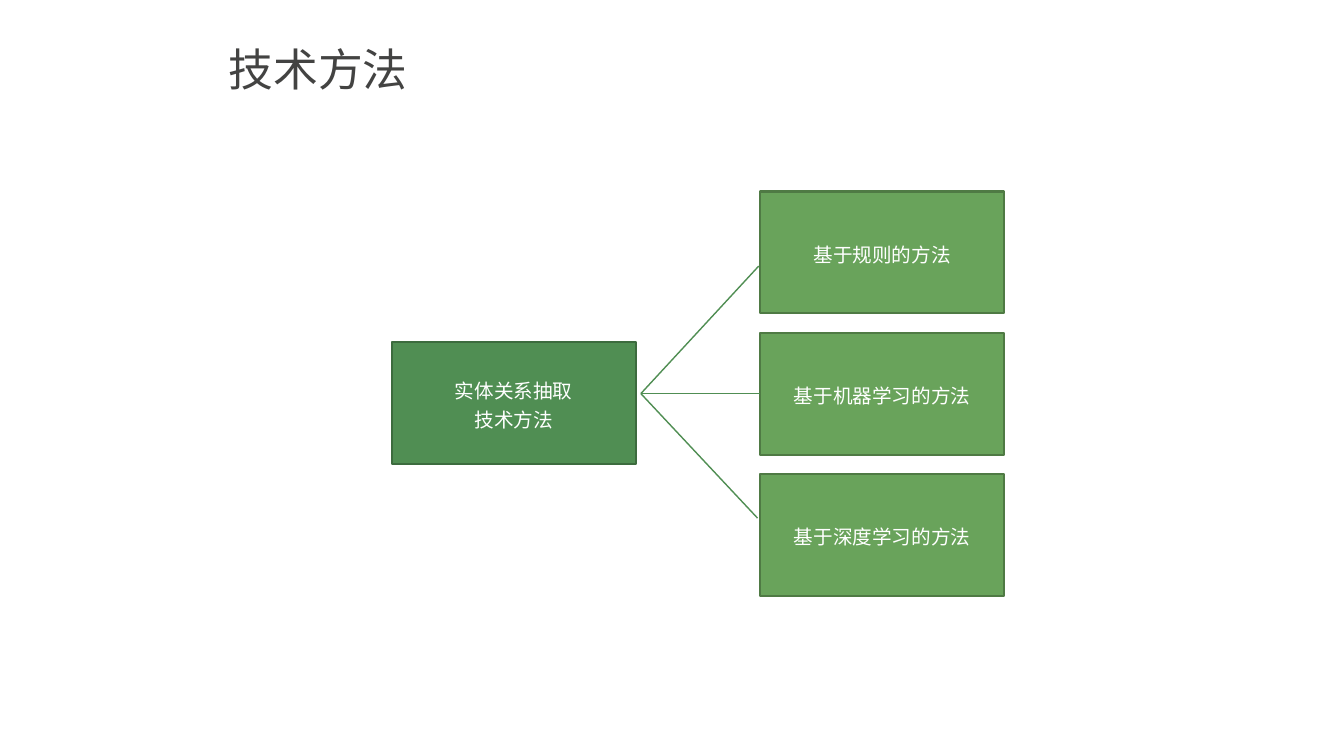
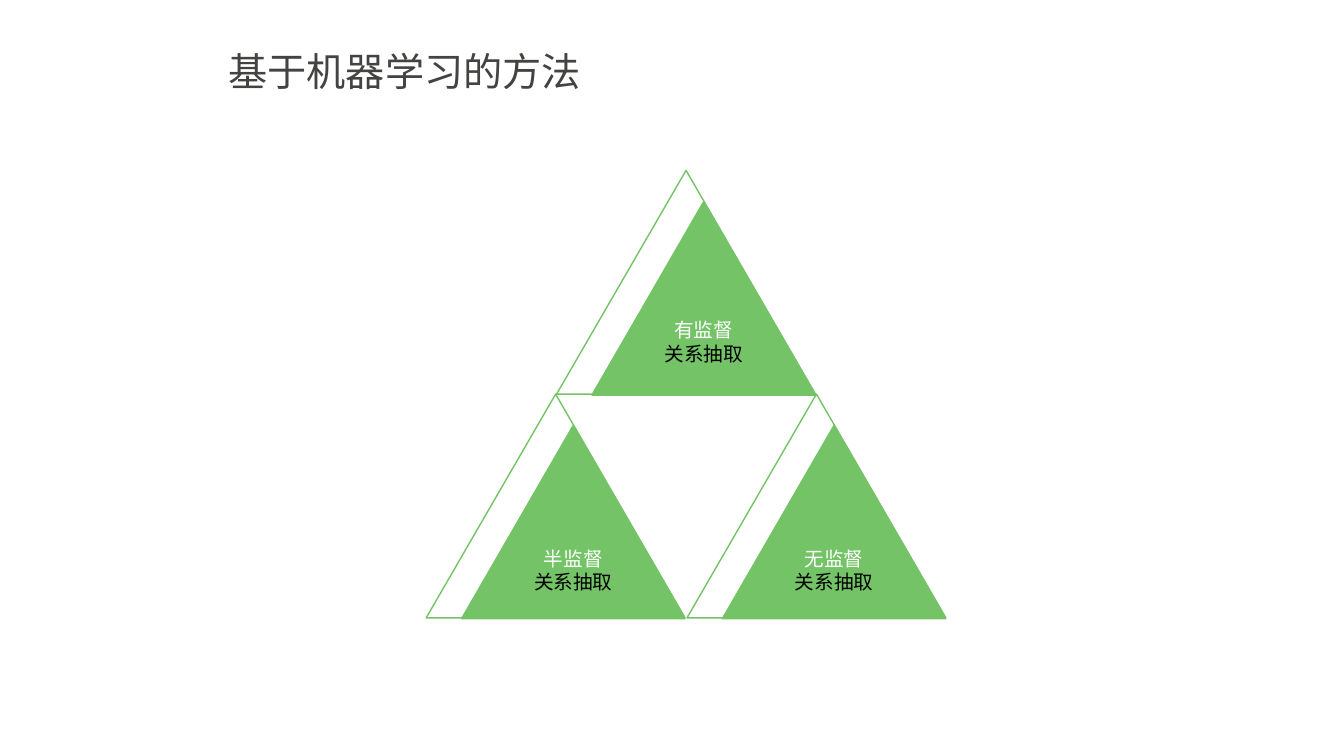
"""Build two slides on relation extraction methods."""
from dataclasses import dataclass
from typing import Optional

from lxml import etree
from pptx import Presentation
from pptx.dml.color import RGBColor
from pptx.enum import lang, shapes, text
from pptx.oxml import ns
from pptx.util import Pt

COLORS = {
    "title": "434342", "root": "508E53", "root_edge": "3C6B3E",
    "method": "69A35B", "method_edge": "4F7A44", "triangle": "74C367",
    "white": "FFFFFF", "black": "000000",
}
CJK_FONT = "Noto Sans CJK SC"
BOX_WIDTH, BOX_HEIGHT = 174.2, 87.1
FRAME_WIDTH, FRAME_HEIGHT = 185, 159.8
SOLID_WIDTH, SOLID_HEIGHT = 159.8, 138.2
SOLID_DX, SOLID_DY = 25.2, 22.3


@dataclass(frozen=True)
class Panel:
    kind: shapes.MSO_SHAPE
    left: float
    top: float
    width: float
    height: float
    edge: str
    edge_width: float
    fill: Optional[str] = None


@dataclass(frozen=True)
class Approach:
    label: str
    left: float
    top: float
    lift: float = 0


def rgb(name: str) -> RGBColor:
    return RGBColor.from_string(COLORS[name])


def style_paragraph(paragraph, size: float, font_name: str, color: str) -> None:
    for run in paragraph.runs:
        run.font.size = Pt(size)
        run.font.name = font_name
        run.font.color.rgb = rgb(color)
        run.font.language_id = lang.MSO_LANGUAGE_ID.SIMPLIFIED_CHINESE
        east_asian = etree.SubElement(run._r.get_or_add_rPr(), ns.qn("a:ea"))
        east_asian.set("typeface", CJK_FONT)


def add_titled_slide(prs, title: str, size: float, height: float):
    slide = prs.slides.add_slide(prs.slide_layouts[5])
    heading = slide.shapes.title
    heading.left, heading.top = Pt(156.2), Pt(21.6)
    heading.width, heading.height = Pt(648), Pt(height)
    frame = heading.text_frame
    frame.text = title
    frame.auto_size = text.MSO_AUTO_SIZE.NONE
    frame.vertical_anchor = text.MSO_ANCHOR.MIDDLE
    frame.paragraphs[0].alignment = text.PP_ALIGN.LEFT
    style_paragraph(frame.paragraphs[0], size, "Arial", "title")
    return slide


def add_panel(slide, panel: Panel):
    shape = slide.shapes.add_shape(
        panel.kind, Pt(panel.left), Pt(panel.top), Pt(panel.width), Pt(panel.height))
    shape.shadow.inherit = False
    if panel.fill:
        shape.fill.solid()
        shape.fill.fore_color.rgb = rgb(panel.fill)
    else:
        shape.fill.background()
    shape.line.color.rgb = rgb(panel.edge)
    shape.line.width = Pt(panel.edge_width)
    return shape


def write_label(shape, label: str, font_name: str, colors: list[str],
                spacing: float = 1.0) -> None:
    frame = shape.text_frame
    frame.text = label
    frame.word_wrap = True
    frame.vertical_anchor = text.MSO_ANCHOR.MIDDLE
    for paragraph, color in zip(frame.paragraphs, colors):
        paragraph.alignment = text.PP_ALIGN.CENTER
        paragraph.line_spacing = spacing
        style_paragraph(paragraph, 14, font_name, color)


def add_box(slide, label: str, left: float, top: float, fill: str):
    box = add_panel(slide, Panel(shapes.MSO_SHAPE.RECTANGLE, left, top, BOX_WIDTH,
                                 BOX_HEIGHT, f"{fill}_edge", 1.5, fill))
    write_label(box, label, CJK_FONT, ["white", "white"], 1.2)
    return box


def add_branch(slide, start: tuple[float, float], end: tuple[float, float]):
    branch = slide.shapes.add_connector(
        shapes.MSO_CONNECTOR.STRAIGHT, *(Pt(value) for value in start + end))
    branch.line.color.rgb = rgb("root")
    branch.line.width = Pt(1)
    etree.SubElement(branch._element.spPr, ns.qn("a:effectLst"))
    return branch


def build_overview(prs) -> None:
    slide = add_titled_slide(prs, "技术方法", 32, 54.7)
    add_box(slide, "实体关系抽取\n技术方法", 280.1, 244.1, "root")
    labels = ["基于规则的方法", "基于机器学习的方法", "基于深度学习的方法"]
    methods = [add_box(slide, label, 543.4, 136.8 + 100.8 * row, "method")
               for row, label in enumerate(labels)]
    hub = (458, 237.6 + BOX_HEIGHT / 2)
    add_branch(slide, hub, (542.2, 190.1))
    add_branch(slide, hub, (541.4, 370.1))
    add_branch(slide, hub, (543.4, hub[1])).end_connect(methods[1], 1)


def add_approach(slide, approach: Approach) -> None:
    kind = shapes.MSO_SHAPE.ISOSCELES_TRIANGLE
    add_panel(slide, Panel(kind, approach.left, approach.top, FRAME_WIDTH,
                           FRAME_HEIGHT, "triangle", 1))
    solid = add_panel(slide, Panel(kind, approach.left + SOLID_DX,
                                   approach.top + SOLID_DY, SOLID_WIDTH,
                                   SOLID_HEIGHT, "triangle", 1, "triangle"))
    frame = solid.text_frame
    frame.margin_left = frame.margin_right = Pt(6.5)
    frame.margin_top = Pt(3)
    frame.margin_bottom = Pt(3 + 2 * approach.lift)
    write_label(solid, f"{approach.label}\n关系抽取", "Arial", ["white", "black"])


def build_machine_learning(prs) -> None:
    slide = add_titled_slide(prs, "基于机器学习的方法", 28, 57.6)
    left, top, pitch = 304.6, 121.7, 186.4
    approaches = [
        Approach("半监督", left, top + FRAME_HEIGHT),
        Approach("无监督", left + pitch, top + FRAME_HEIGHT),
        Approach("有监督", left + pitch / 2, top, 3.5),
    ]
    for approach in approaches:
        add_approach(slide, approach)


def main() -> None:
    prs = Presentation()
    prs.slide_width, prs.slide_height = Pt(960.5), Pt(540)
    build_overview(prs)
    build_machine_learning(prs)
    prs.save("out.pptx")


if __name__ == "__main__":
    main()
